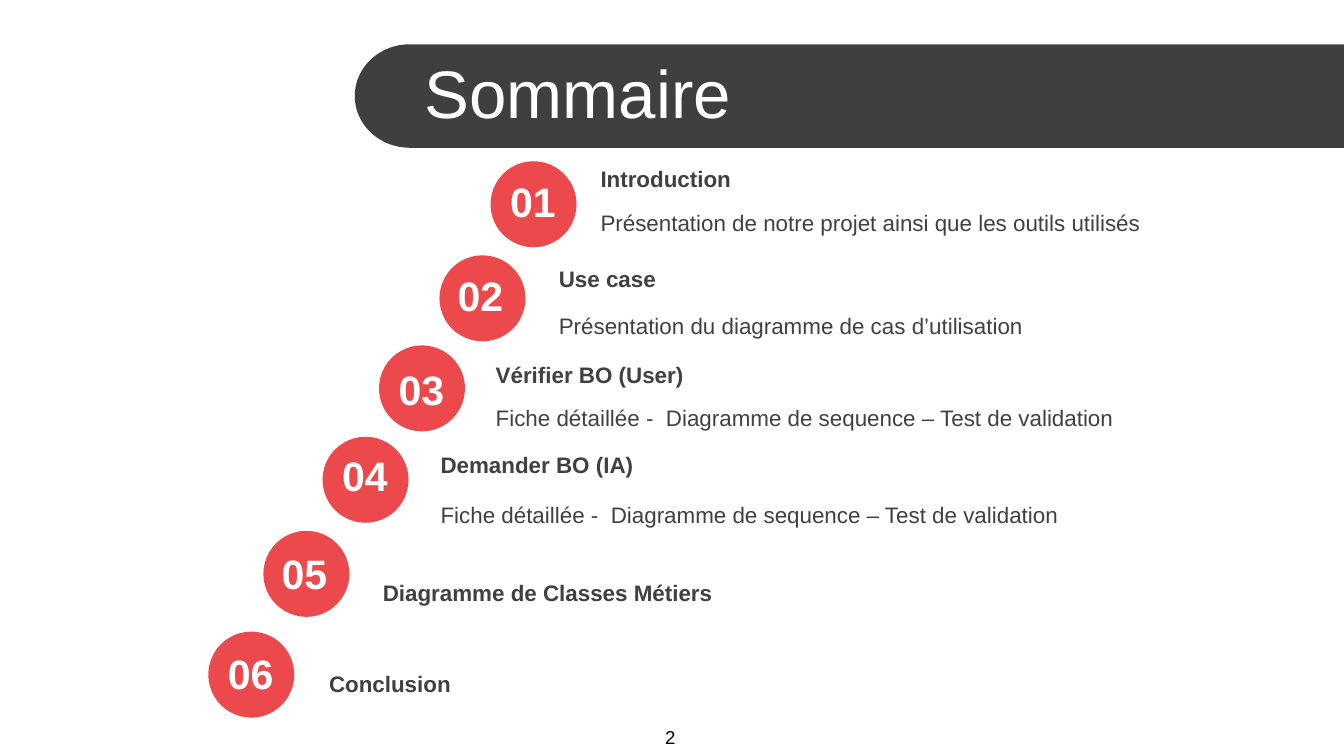
"""Build the agenda slide: a title bar and six numbered entries on a diagonal."""
import math

from pptx import Presentation
from pptx import util as u
from pptx.dml.color import RGBColor
from pptx.enum import shapes, text

COLORS = {
    "bar": "3F3F3F",
    "circle": "EB494B",
    "body": "404040",
    "white": "FFFFFF",
    "black": "000000",
}
DETAIL = "Fiche détaillée -  Diagramme de sequence – Test de validation"
DIAMETER = 0.64
NUMBER_WIDTH, NUMBER_HEIGHT = 0.79, 0.47
ENTRY_WIDTH, ENTRY_HEIGHT = 5.04, 0.3

CIRCLES = [(3.65, 1.2), (3.27, 1.9), (2.82, 2.57), (2.4, 3.25), (1.96, 3.95), (1.55, 4.7)]
NUMBERS = [(3.57, 1.26), (3.18, 1.96), (2.74, 2.66), (2.32, 3.3), (1.87, 4.03), (1.47, 4.77)]
ENTRIES = [
    (4.37, [(1.18, "Introduction"),
            (1.51, "Présentation de notre projet ainsi que les outils utilisés")]),
    (4.06, [(1.92, "Use case"),
            (2.27, "Présentation du diagramme de cas d’utilisation")]),
    (3.59, [(2.64, "Vérifier BO (User)"), (2.96, DETAIL)]),
    (3.18, [(3.31, "Demander BO (IA)"), (3.68, DETAIL)]),
    (2.75, [(4.26, "Diagramme de Classes Métiers")]),
    (2.35, [(4.94, "Conclusion")]),
]


def write(box, content, size, color, bold=False,
          align=text.PP_ALIGN.LEFT, anchor=text.MSO_ANCHOR.MIDDLE):
    frame = box.text_frame
    frame.word_wrap = True
    frame.auto_size = text.MSO_AUTO_SIZE.NONE
    frame.vertical_anchor = anchor
    para = frame.paragraphs[0]
    para.alignment = align
    span = para.add_run()
    span.text = content
    span.font.name = "Arial"
    span.font.size = u.Pt(size)
    span.font.bold = bold
    span.font.color.rgb = RGBColor.from_string(COLORS[color])


deck = Presentation()
deck.slide_width = u.Inches(10)
deck.slide_height = u.Inches(10) * 9 // 16
page = deck.slides.add_slide(deck.slide_layouts[5])

bar_left, bar_top, bar_height, cap_width = 2.64, 0.33, 0.77, 0.41
cap_x, cap_y = bar_left + cap_width, bar_top + bar_height / 2
outline = [(10, bar_top), (10, bar_top + bar_height)]
for degrees in range(90, 271, 3):
    angle = math.radians(degrees)
    outline.append((cap_x + cap_width * math.cos(angle),
                    cap_y + bar_height / 2 * math.sin(angle)))
points = [(u.Inches(x), u.Inches(y)) for x, y in outline]
builder = page.shapes.build_freeform(*points[0])
builder.add_line_segments(points[1:], close=True)
bar = builder.convert_to_shape()
bar.shadow.inherit = False
bar.fill.solid()
bar.fill.fore_color.rgb = RGBColor.from_string(COLORS["bar"])
bar.line.fill.background()

title = page.shapes.title
title.left, title.top = u.Inches(3.06), u.Inches(0.37)
title.width, title.height = u.Inches(6.94), u.Inches(0.63)
write(title, "Sommaire", 36, "white")
bar._element.addnext(title._element)

for left, top in CIRCLES:
    circle = page.shapes.add_shape(shapes.MSO_SHAPE.OVAL, u.Inches(left), u.Inches(top),
                                   u.Inches(DIAMETER), u.Inches(DIAMETER))
    circle.shadow.inherit = False
    circle.fill.solid()
    circle.fill.fore_color.rgb = RGBColor.from_string(COLORS["circle"])
    circle.line.fill.background()

for number, (left, top) in enumerate(NUMBERS, start=1):
    box = page.shapes.add_textbox(u.Inches(left), u.Inches(top),
                                  u.Inches(NUMBER_WIDTH), u.Inches(NUMBER_HEIGHT))
    write(box, f"{number:02}", 22, "white", bold=True, align=text.PP_ALIGN.CENTER)

for left, lines in ENTRIES:
    for index, (top, content) in enumerate(lines):
        box = page.shapes.add_textbox(u.Inches(left), u.Inches(top),
                                      u.Inches(ENTRY_WIDTH), u.Inches(ENTRY_HEIGHT))
        write(box, content, 12, "body", bold=index == 0)

page_number = page.shapes.add_textbox(u.Inches(4.85), u.Inches(5.35),
                                      u.Inches(0.29), u.Inches(0.27))
write(page_number, "2", 10, "black", anchor=text.MSO_ANCHOR.TOP)

deck.save("out.pptx")
